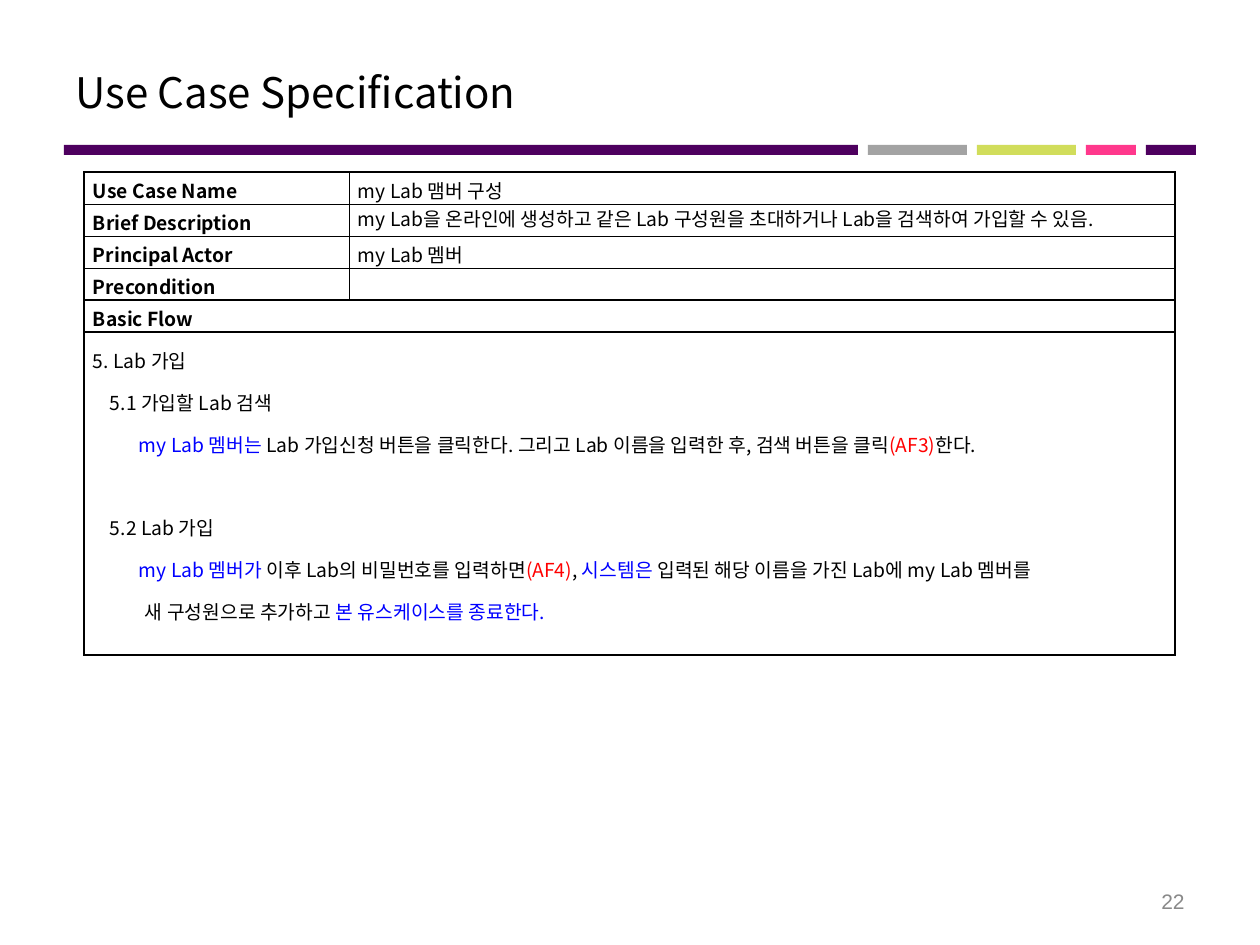
from lxml import etree
from pptx import Presentation
from pptx.dml.color import RGBColor
from pptx.enum.shapes import MSO_SHAPE
from pptx.enum.text import MSO_ANCHOR, PP_ALIGN
from pptx.oxml.ns import qn
from pptx.util import Pt

RECT = MSO_SHAPE.RECTANGLE
MIDDLE, TOP = MSO_ANCHOR.MIDDLE, MSO_ANCHOR.TOP
LEFT, RIGHT, JUSTIFY = PP_ALIGN.LEFT, PP_ALIGN.RIGHT, PP_ALIGN.JUSTIFY
SCALE = 914400 / 126
SANS, ARIAL = "Noto Sans CJK KR", "Arial"
COLORS = {
    "black": "000000", "white": "FFFFFF", "purple": "4E005F", "gray": "A3A3A3",
    "lime": "D1DD5B", "pink": "FF388C", "blue": "0000FF", "red": "FF0000",
    "number": "898989",
}
BARS = [(794, "purple"), (99, "gray"), (99, "lime"), (50, "pink"), (50, "purple")]
FIELDS = [
    ("Use Case Name", "my Lab 맴버 구성", 1.15),
    ("Brief Description",
     "my Lab을 온라인에 생성하고 같은 Lab 구성원을 초대하거나 Lab을 검색하여 가입할 수 있음.", None),
    ("Principal Actor", "my Lab 멤버", 1.15),
    ("Precondition", "", 1.15),
]
FLOW = [
    (0, 0, [("5. Lab 가입", "black")]),
    (17, 0, [("5.1 가입할 Lab 검색", "black")]),
    (46, 0, [("my Lab 멤버는 ", "blue"),
             ("Lab 가입신청 버튼을 클릭한다. 그리고 Lab 이름을 입력한 후, 검색 버튼을 클릭", "black"),
             ("(AF3)", "red"), ("한다.", "black")]),
    (17, 24, [("5.2 Lab 가입", "black")]),
    (46, 0, [("my Lab 멤버가 ", "blue"), ("이후 Lab의 비밀번호를 입력하면", "black"),
             ("(AF4)", "red"), (", ", "black"), ("시스템은", "blue"),
             (" 입력된 해당 이름을 가진 Lab에 my Lab 멤버를", "black")]),
    (52, 0, [("새 구성원으로 추가하고 ", "black"), ("본 유스케이스를 종료한다.", "blue")]),
]


def px(n):
    """Turn slide pixels into EMU."""
    return round(n * SCALE)


def rgb(name):
    """Look up a named colour."""
    return RGBColor.from_string(COLORS[name])


def write(p, runs, size, font=SANS, bold=False, align=LEFT, spacing=None):
    """Fill a paragraph with coloured runs."""
    p.alignment = align
    if spacing:
        p.line_spacing = spacing
    for text, color in runs:
        r = p.add_run()
        r.text = text
        r.font.size, r.font.bold, r.font.name = Pt(size), bold, font
        r.font.color.rgb = rgb(color)
        etree.SubElement(r.font._element, qn("a:ea"), typeface=font)


def add_text(slide, box, text, size, font, color, align):
    """Place a one-line, vertically centred text box."""
    tf = slide.shapes.add_textbox(*map(px, box)).text_frame
    tf.word_wrap = True
    tf.vertical_anchor = MIDDLE
    write(tf.paragraphs[0], [(text, color)], size, font, align=align)


def add_accent(slide, box, gap):
    """Lay the coloured bars side by side along the box."""
    x, y, _, height = box
    for width, color in BARS:
        sp = slide.shapes.add_shape(RECT, px(x), px(y), px(width), px(height))
        sp.shadow.inherit = False
        sp.fill.solid()
        sp.fill.fore_color.rgb = rgb(color)
        sp.line.fill.background()
        x += width + gap


def style_cell(cell, widths):
    """Set the margins, the borders in points and the fill of a cell."""
    cell.margin_left = cell.margin_right = px(9)
    cell.margin_top = cell.margin_bottom = 0
    cell.vertical_anchor = TOP
    tcPr = cell._tc.get_or_add_tcPr()
    for side, width in widths.items():
        ln = etree.SubElement(tcPr, qn(f"a:ln{side}"), w=str(Pt(width)))
        fill = etree.SubElement(ln, qn("a:solidFill"))
        etree.SubElement(fill, qn("a:srgbClr"), val=COLORS["black"])
    cell.fill.solid()
    cell.fill.fore_color.rgb = rgb("white")


def add_use_case(slide, box, label_width, row_height):
    """Build the use case table with its fields and basic flow."""
    x, y, width, height = box
    head = len(FIELDS)
    table = slide.shapes.add_table(head + 2, 2, *map(px, box)).table
    table.first_row = table.horz_banding = False
    table.columns[0].width = px(label_width)
    table.columns[1].width = px(width - label_width)
    for row in table.rows:
        row.height = px(row_height)
    table.rows[head + 1].height = px(height - row_height * (head + 1))
    for i in range(head + 2):
        for j in range(2):
            style_cell(table.cell(i, j), {
                "L": 0.5 if j and i < head else 1,
                "R": 1 if j or i >= head else 0.5,
                "T": 0.5 if 0 < i < head else 1,
                "B": 0.5 if i < head - 1 else 1,
            })
    for i in (head, head + 1):
        table.cell(i, 0).merge(table.cell(i, 1))

    labels = [label for label, _, _ in FIELDS] + ["Basic Flow"]
    for i, label in enumerate(labels):
        p = table.cell(i, 0).text_frame.paragraphs[0]
        write(p, [(label, "black")], 11, bold=True, align=JUSTIFY, spacing=1.15)
    for i, (_, value, spacing) in enumerate(FIELDS):
        p = table.cell(i, 1).text_frame.paragraphs[0]
        if value:
            align = JUSTIFY if spacing else LEFT
            write(p, [(value, "black")], 11, align=align, spacing=spacing)
        else:
            etree.SubElement(p._p, qn("a:endParaRPr"), sz="1100")

    tf = table.cell(head + 1, 0).text_frame
    for i, (indent, before, runs) in enumerate(FLOW):
        p = tf.add_paragraph() if i else tf.paragraphs[0]
        write(p, runs, 11, align=JUSTIFY, spacing=1.5)
        p._p.get_or_add_pPr().set("marL", str(px(indent)))
        if before:
            p.space_before = Pt(before)


def main():
    """Build and save the slide."""
    prs = Presentation()
    prs.slide_width, prs.slide_height = px(1260), px(945)
    slide = prs.slides.add_slide(prs.slide_layouts[6])
    add_accent(slide, (64, 145, 1132, 10), 10)
    add_text(slide, (63, 38, 1134, 107), "Use Case Specification", 24, SANS, "black", LEFT)
    add_text(slide, (903, 876, 294, 50), "22", 12, ARIAL, "number", RIGHT)
    add_use_case(slide, (84, 172, 1091, 483), 265, 32)
    prs.save("out.pptx")


if __name__ == "__main__":
    main()
